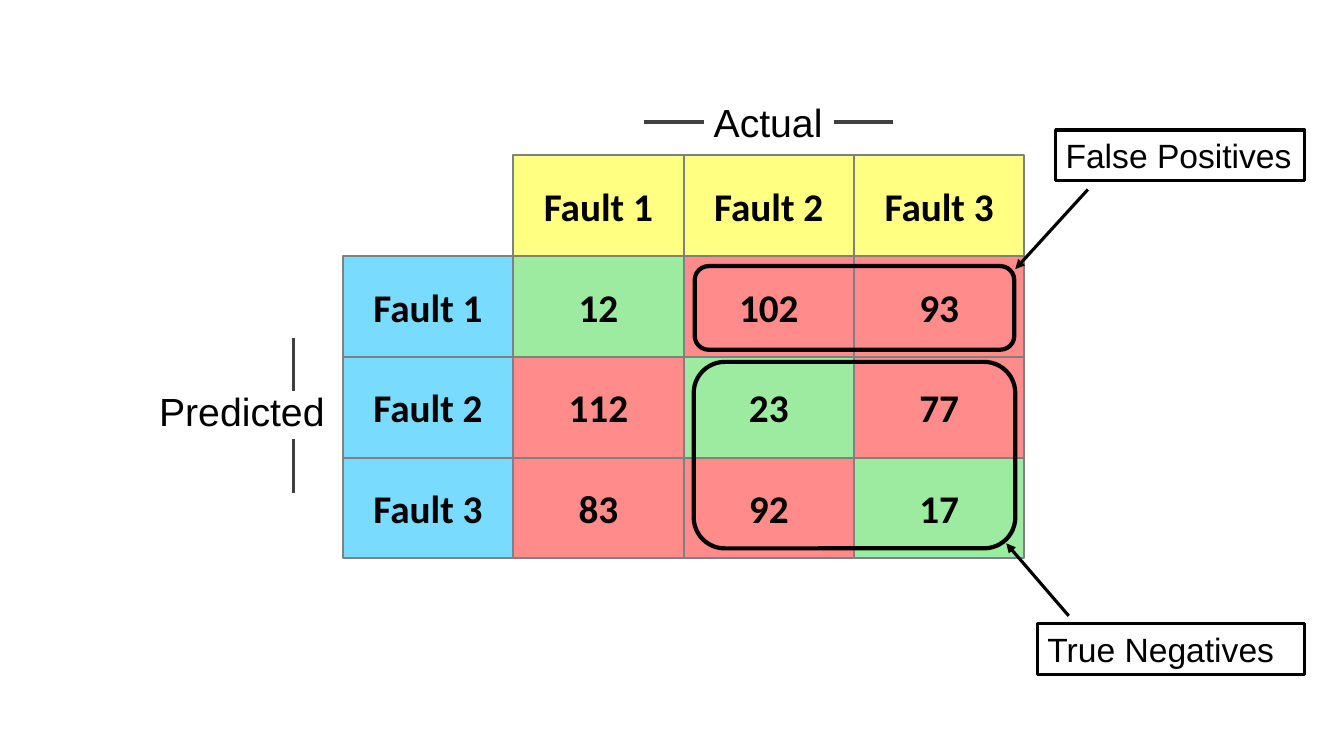
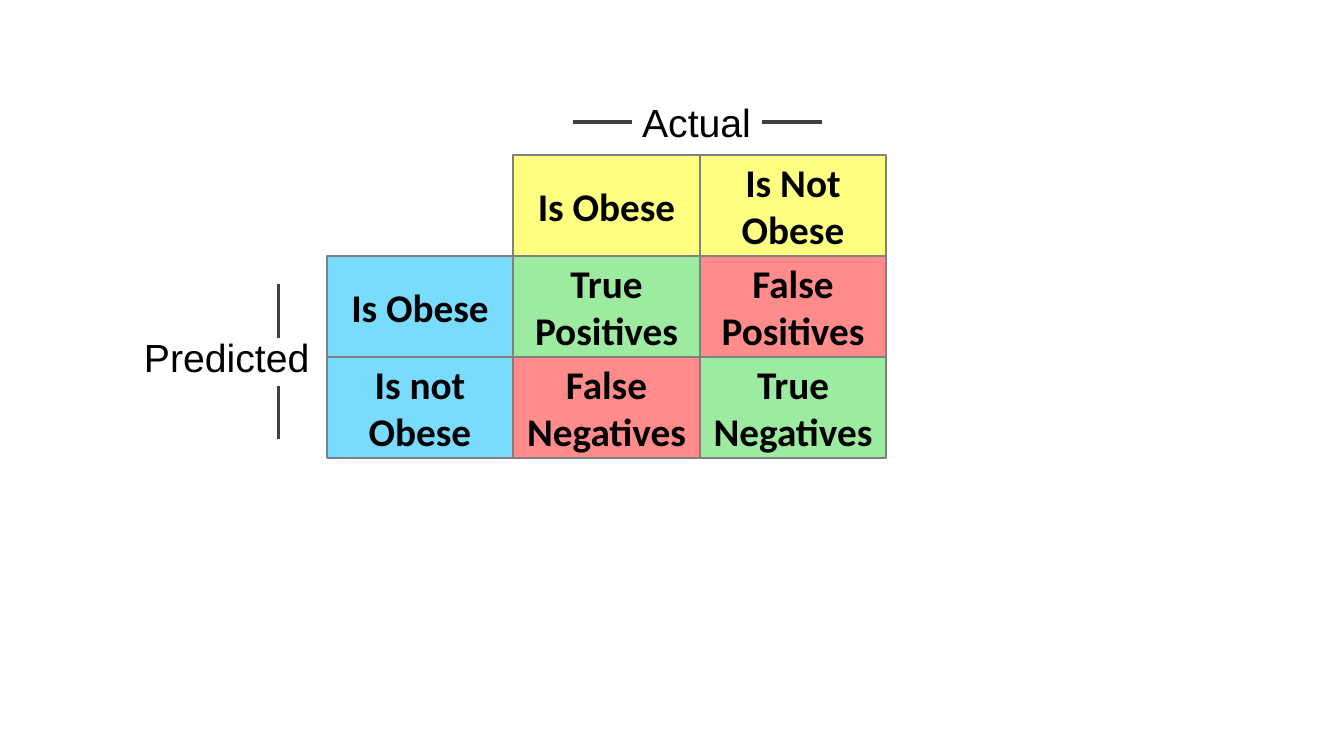
"""Build two confusion matrix slides: three faults, and obese or not."""
from lxml.etree import SubElement
from pptx import Presentation
from pptx.dml.color import RGBColor
from pptx.enum.shapes import MSO_CONNECTOR as Link, MSO_SHAPE as Shape
from pptx.enum.text import MSO_ANCHOR as Anchor, PP_ALIGN as Align
from pptx.oxml.ns import qn
from pptx.util import Pt

PX = 9144
BLACK = RGBColor(0x00, 0x00, 0x00)
GRAY = RGBColor(0x80, 0x80, 0x80)
DARK = RGBColor(0x40, 0x40, 0x40)
YELLOW = RGBColor(0xFF, 0xFF, 0x81)
BLUE = RGBColor(0x79, 0xDC, 0xFF)
GREEN = RGBColor(0x9D, 0xEB, 0xA1)
RED = RGBColor(0xFF, 0x8B, 0x8B)


def box(slide, text, x, y, w, h, kind=None, fill=None, edge=BLACK, width=2.25,
        font="Arial", size=28, bold=False, align=Align.LEFT, anchor=Anchor.TOP):
    """Add a text box, or a shape when a kind is given."""
    area = [n * PX for n in (x, y, w, h)]
    if kind is None:
        item = slide.shapes.add_textbox(*area)
    else:
        item = slide.shapes.add_shape(kind, *area)
        item.shadow.inherit = False
        item.line.color.rgb = edge
        item.line.width = Pt(width)
        if fill is None:
            item.fill.background()
        else:
            item.fill.solid()
            item.fill.fore_color.rgb = fill
    frame = item.text_frame
    frame.word_wrap = kind is not None
    frame.vertical_anchor = anchor
    if text:
        para = frame.paragraphs[0]
        para.alignment = align
        run = para.add_run()
        run.text = text
        run.font.name = font
        run.font.size = Pt(size)
        run.font.bold = bold
        run.font.color.rgb = BLACK
    return item


def line(slide, x1, y1, x2, y2, color=DARK, arrow=False):
    """Add a straight line, with an arrowhead at its end if asked."""
    item = slide.shapes.add_connector(
        Link.STRAIGHT, x1 * PX, y1 * PX, x2 * PX, y2 * PX)
    item.line.color.rgb = color
    item.line.width = Pt(2.25)
    props = item.line._get_or_add_ln()
    if arrow:
        SubElement(props, qn("a:tailEnd"), type="triangle")
    SubElement(props.getparent(), qn("a:effectLst"))
    return item


deck = Presentation()
deck.slide_width = 1333 * PX
deck.slide_height = 750 * PX

LEFT, TOP, HIGH = 509, 154, 100
CELL = dict(kind=Shape.RECTANGLE, edge=GRAY, width=1.5, font="Calibri",
            bold=True, align=Align.CENTER, anchor=Anchor.MIDDLE)
faults = ["Fault 1", "Fault 2", "Fault 3"]
plans = [
    dict(wide=169, heads=faults, sides=faults,
         rows=[["12", "102", "93"], ["112", "23", "77"], ["83", "92", "17"]],
         actual=698, guess=(148, 379)),
    dict(wide=185, heads=["Is Obese", "Is Not Obese"],
         sides=["Is Obese", "Is not Obese"],
         rows=[["True Positives", "False Positives"],
               ["False Negatives", "True Negatives"]],
         actual=627, guess=(133, 326)),
]

for plan in plans:
    slide = deck.slides.add_slide(deck.slide_layouts[6])
    wide = plan["wide"]
    for col, head in enumerate(plan["heads"]):
        box(slide, head, LEFT + col * wide, TOP, wide, HIGH, fill=YELLOW, **CELL)
    for row, (side, cells) in enumerate(zip(plan["sides"], plan["rows"])):
        y = TOP + (row + 1) * HIGH
        box(slide, side, LEFT - wide, y, wide, HIGH, fill=BLUE, **CELL)
        for col, text in enumerate(cells):
            fill = GREEN if row == col else RED
            box(slide, text, LEFT + col * wide, y, wide, HIGH, fill=fill, **CELL)

    x = plan["actual"]
    label = box(slide, "Actual", x, 93, 129, 56)
    line(slide, x - 59, 121, x, 121).end_connect(label, 1)
    line(slide, x + 129, 121, x + 188, 121).begin_connect(label, 3)

    x, y = plan["guess"]
    box(slide, "Predicted", x, y, 186, 57)
    for end in (y - 44, y + 57):
        line(slide, x + 143, end + 53, x + 143, end)

notes = [
    ("False Positives", (1047, 129, 247, 50), (689, 264, 317, 83),
     (1079, 188, 1007, 267)),
    ("True Negatives", (1029, 619, 265, 50), (688, 359, 319, 185),
     (1060, 611, 998, 539)),
]
slide = deck.slides[0]
for text, area, ring, arrow in notes:
    box(slide, "", *ring, kind=Shape.ROUNDED_RECTANGLE, width=3)
    line(slide, *arrow, color=BLACK, arrow=True)
    box(slide, text, *area, kind=Shape.RECTANGLE, size=24)

deck.save("out.pptx")
